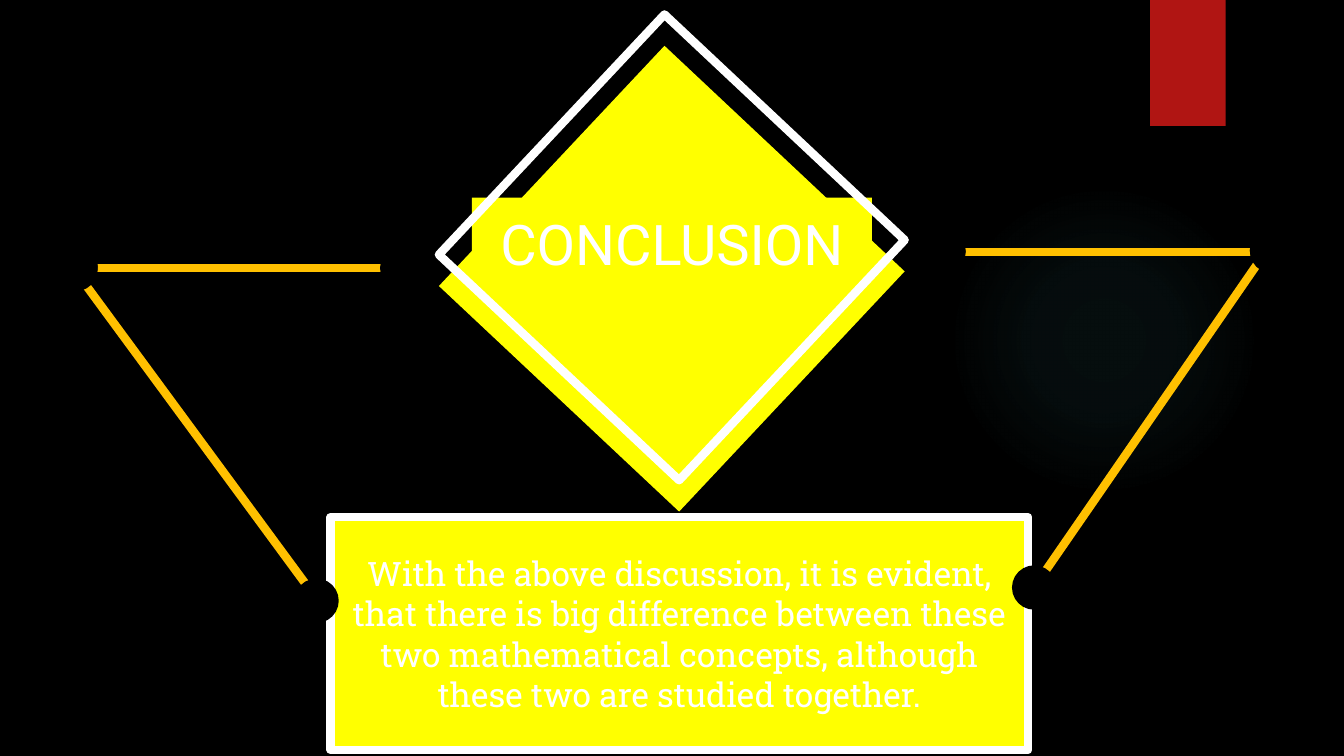
from dataclasses import dataclass
from typing import Optional

from pptx import Presentation
from pptx.dml.color import RGBColor
from pptx.enum.shapes import MSO_CONNECTOR as Connector, MSO_SHAPE as Preset
from pptx.enum.text import MSO_ANCHOR as Anchor, MSO_AUTO_SIZE as AutoSize, PP_ALIGN as Align
from pptx.oxml import parse_xml
from pptx.oxml.ns import nsdecls
from pptx.shapes.autoshape import Shape
from pptx.slide import Slide
from pptx.util import Pt

BLACK = RGBColor(0, 0, 0)
WHITE = RGBColor(255, 255, 255)
YELLOW = RGBColor(255, 255, 0)
AMBER = RGBColor(255, 192, 0)
RED = RGBColor(176, 21, 19)
TEAL = RGBColor(80, 185, 193)

HEAVY = 6
DIAMOND_ANGLE = 313.2
DISC_SIZE = 30.2
TITLE_ONLY = 5


@dataclass
class Block:
    left: float
    top: float
    width: float
    height: float
    fill: Optional[RGBColor] = None
    line: Optional[RGBColor] = None
    weight: float = HEAVY
    rotation: float = 0
    preset: Preset = Preset.RECTANGLE


@dataclass
class Rod:
    x1: float
    y1: float
    x2: float
    y2: float


GLOW = Block(677.5, 131.8, 221.8, 221.8, TEAL, preset=Preset.OVAL)
TAG = Block(821.5, 0, 54, 90, RED)
DIAMOND = Block(362.2, 81.4, 235.4, 235.4, YELLOW, rotation=DIAMOND_ANGLE)
DIAMOND_FRAME = Block(362.2, 59, 235.4, 235.4, line=WHITE, rotation=DIAMOND_ANGLE)
PANEL = Block(236.2, 369.4, 498.2, 166.3, YELLOW, WHITE)
RODS = [
    Rod(49, 191.5, 296.6, 191.5),
    Rod(673.2, 180, 920.9, 180),
    Rod(54, 193.7, 236.2, 441.4),
    Rod(905, 178.6, 723.6, 441.4),
]
DISC_CORNERS = [
    (658.8, 164.2), (272.2, 176.4), (658.8, 164.9),
    (893.5, 163.4), (38.9, 175), (38.9, 177.1),
    (893.5, 164.2), (211, 414), (723.6, 404.6),
]
CONCLUSION = (
    "With the above discussion, it is evident, that there is big difference "
    "between these two mathematical concepts, although these two are studied together."
)


def draw_block(slide: Slide, block: Block) -> Shape:
    shape = slide.shapes.add_shape(
        block.preset, Pt(block.left), Pt(block.top), Pt(block.width), Pt(block.height)
    )
    shape.shadow.inherit = False
    shape.rotation = block.rotation
    if block.fill is None:
        shape.fill.background()
    else:
        shape.fill.solid()
        shape.fill.fore_color.rgb = block.fill
    if block.line is None:
        shape.line.fill.background()
    else:
        shape.line.color.rgb = block.line
        shape.line.width = Pt(block.weight)
    return shape


def draw_glow(slide: Slide) -> None:
    shape = draw_block(slide, GLOW)
    stops = "".join(
        f'<a:gs pos="{position * 1000}"><a:srgbClr val="{TEAL}">'
        f'<a:alpha val="{opacity * 1000}"/></a:srgbClr></a:gs>'
        for position, opacity in ((0, 7), (36, 6), (69, 0))
    )
    gradient = parse_xml(
        f'<a:gradFill {nsdecls("a")}><a:gsLst>{stops}</a:gsLst><a:path path="circle">'
        '<a:fillToRect l="50000" t="50000" r="50000" b="50000"/></a:path></a:gradFill>'
    )
    properties = shape.element.spPr
    properties.replace(properties.find("{*}solidFill"), gradient)


def draw_rod(slide: Slide, rod: Rod) -> None:
    connector = slide.shapes.add_connector(
        Connector.STRAIGHT, Pt(rod.x1), Pt(rod.y1), Pt(rod.x2), Pt(rod.y2)
    )
    connector.line.color.rgb = AMBER
    connector.line.width = Pt(HEAVY)
    connector.element.spPr.append(parse_xml(f'<a:effectLst {nsdecls("a")}/>'))


def write_text(shape: Shape, text: str, font_name: str, size: float) -> None:
    frame = shape.text_frame
    frame.text = text
    frame.word_wrap = True
    frame.auto_size = AutoSize.NONE
    frame.vertical_anchor = Anchor.MIDDLE
    paragraph = frame.paragraphs[0]
    paragraph.alignment = Align.CENTER
    font = paragraph.runs[0].font
    font.name = font_name
    font.size = Pt(size)
    font.color.rgb = WHITE


def place_title(slide: Slide, below: Shape) -> None:
    title = slide.shapes.title
    title.left, title.top = Pt(337), Pt(141.1)
    title.width, title.height = Pt(285.8), Pt(65.5)
    title.fill.solid()
    title.fill.fore_color.rgb = YELLOW
    write_text(title, "CONCLUSION", "Roboto", 40)
    below.element.addnext(title.element)


def main() -> None:
    presentation = Presentation()
    presentation.slide_width = Pt(960)
    presentation.slide_height = Pt(540)
    slide = presentation.slides.add_slide(presentation.slide_layouts[TITLE_ONLY])
    slide.background.fill.solid()
    slide.background.fill.fore_color.rgb = BLACK

    draw_glow(slide)
    draw_block(slide, TAG)
    diamond = draw_block(slide, DIAMOND)
    place_title(slide, diamond)
    draw_block(slide, DIAMOND_FRAME)
    for rod in RODS:
        draw_rod(slide, rod)
    write_text(draw_block(slide, PANEL), CONCLUSION, "Roboto Slab", 24)
    for left, top in DISC_CORNERS:
        draw_block(slide, Block(
            left, top, DISC_SIZE, DISC_SIZE, BLACK, BLACK, 1.5,
            preset=Preset.FLOWCHART_CONNECTOR,
        ))
    presentation.save("out.pptx")


if __name__ == "__main__":
    main()
